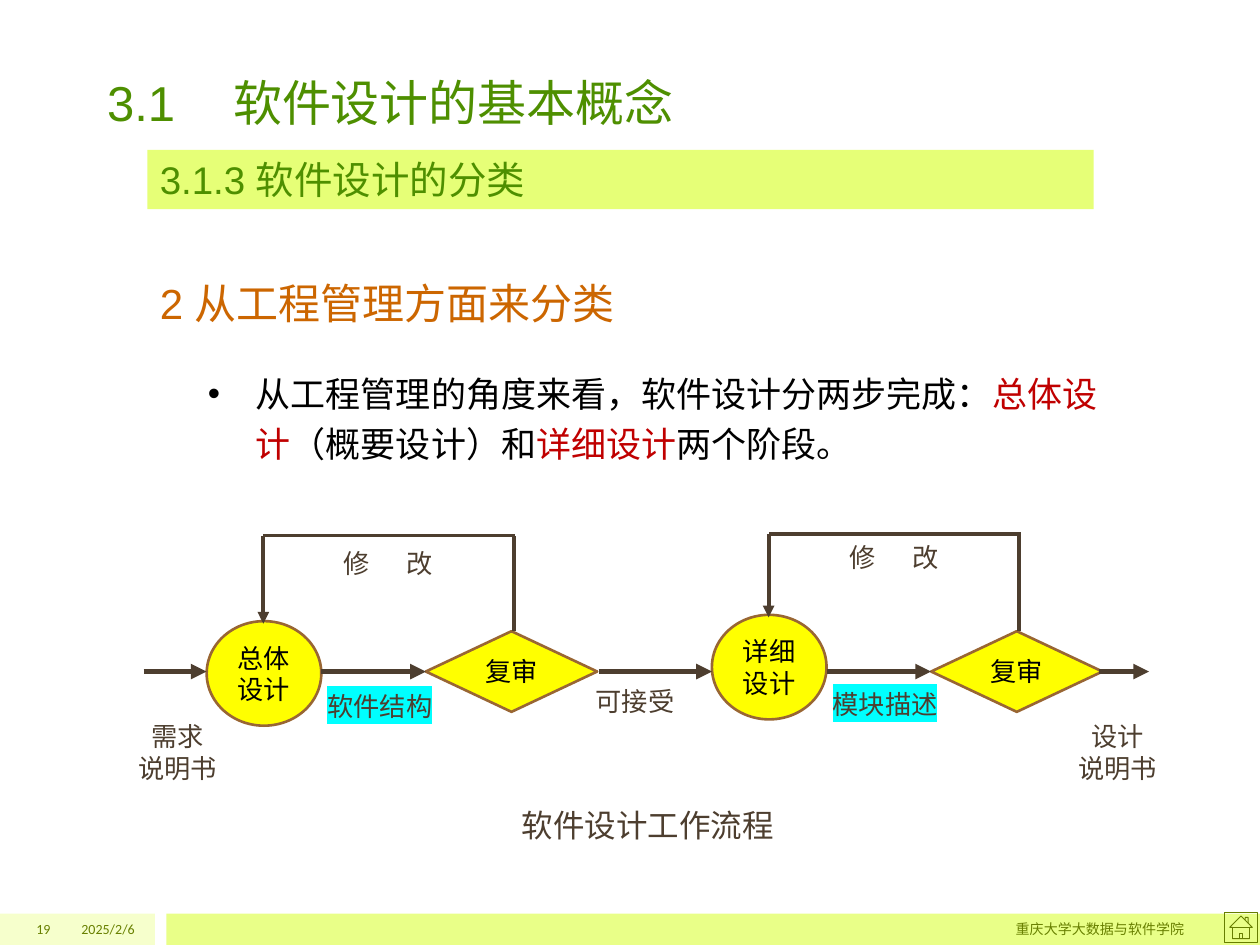
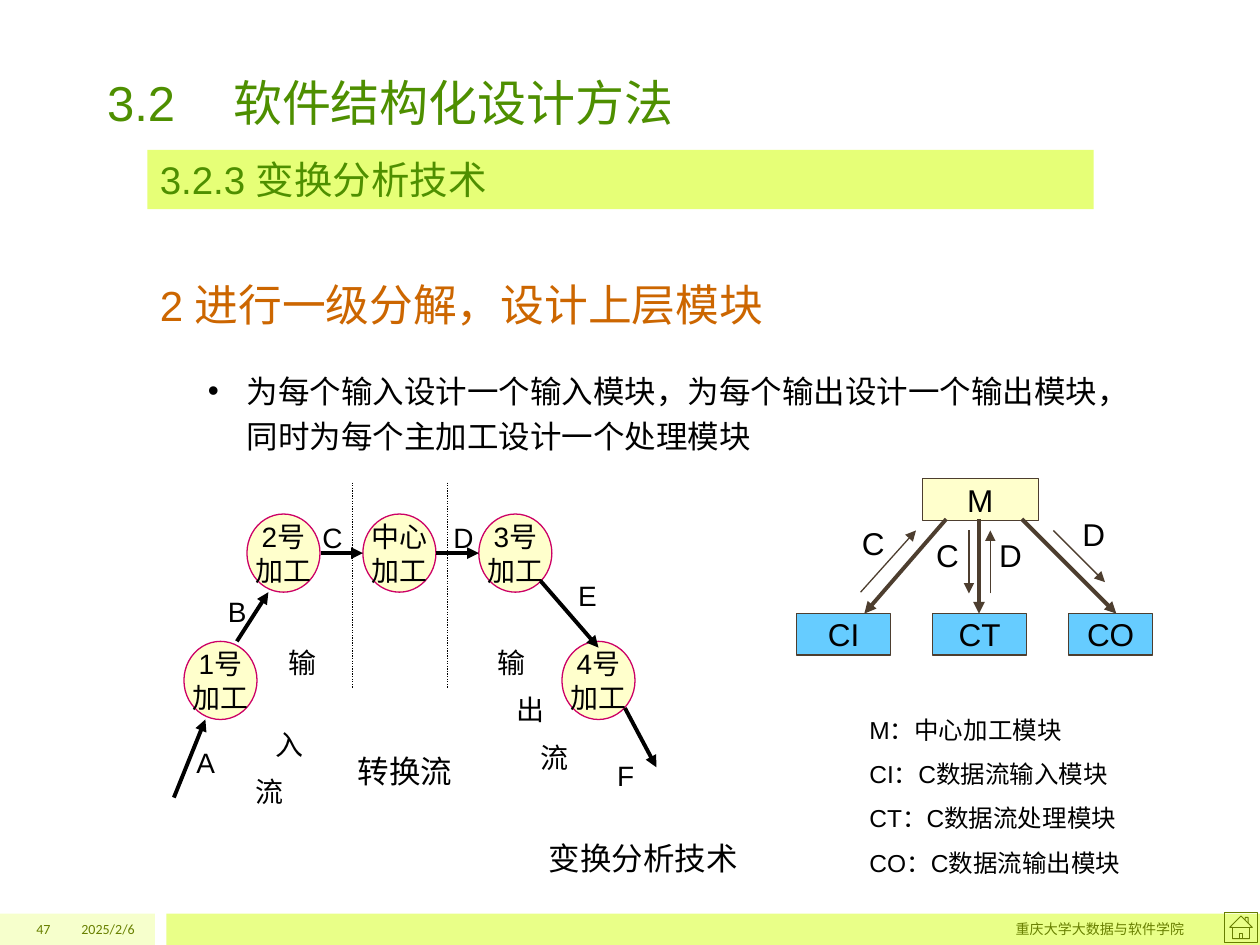
from dataclasses import dataclass, field, replace
from typing import NamedTuple, Optional, Sequence, Union

from lxml import etree
from pptx import Presentation
from pptx.dml.color import RGBColor
from pptx.enum import dml, shapes, text
from pptx.oxml import ns
from pptx.util import Inches, Pt

MSO, LEFT = shapes.MSO_SHAPE, text.PP_ALIGN.LEFT
CENTER, RIGHT = text.PP_ALIGN.CENTER, text.PP_ALIGN.RIGHT
TOP, MIDDLE, BOTTOM = (text.MSO_ANCHOR.TOP, text.MSO_ANCHOR.MIDDLE,
                       text.MSO_ANCHOR.BOTTOM)
WIDE, TIGHT = (0.1, 0.05), (0.07, 0.04)


@dataclass(frozen=True)
class Theme:
    black: str = "000000"
    green: str = "4E8F00"
    orange: str = "CC6600"
    red: str = "C00000"
    brown: str = "4D3E2F"
    band: str = "E6FF77"
    foot_pale: str = "F6FFCC"
    foot_band: str = "E9FF88"
    foot_text: str = "688000"
    home: str = "677E00"
    yellow: str = "FFFF00"
    ochre: str = "996633"
    cream: str = "FFFFCC"
    magenta: str = "CC0066"
    sky: str = "66CCFF"
    cyan: str = "00FFFF"
    latin: str = "Arial"
    cjk: str = "Noto Sans CJK SC"
    footer: str = "Calibri"
    title_pt: int = 28
    topic_pt: int = 24
    section_pt: int = 22
    caption_pt: int = 18
    node_pt: int = 16
    flow_pt: int = 15
    legend_pt: int = 14
    footer_pt: int = 8


T = Theme()


class Box(NamedTuple):
    x: float
    y: float
    w: float
    h: float


class Run(NamedTuple):
    text: str
    format: dict = {}


@dataclass(frozen=True)
class Style:
    size: float
    font: str = T.latin
    color: str = T.black
    align: text.PP_ALIGN = LEFT
    anchor: text.MSO_ANCHOR = TOP
    inset: tuple = WIDE
    wrap: bool = True
    spacing: float = 1.0
    before: float = 0
    hang: float = 0
    tab: float = 0
    bullet: str = ""
    highlight: str = ""


class Look(NamedTuple):
    preset: shapes.MSO_SHAPE
    fill: Optional[str] = None
    line: Optional[str] = None
    width: float = 0.75


class Pen(NamedTuple):
    color: str
    width: float
    arrow: bool = True
    dotted: bool = False


@dataclass(frozen=True)
class Page:
    number: str
    title: str
    section: str
    topic: Sequence[Run]
    bullet: Sequence[Run]
    body: Box
    body_style: Style = field(default_factory=lambda: Style(T.caption_pt))


Paragraph = Union[str, Sequence[Run]]

TITLE = Style(T.title_pt, color=T.green, anchor=BOTTOM, tab=0.85)
SECTION = Style(T.section_pt, color=T.green, hang=0.93)
TOPIC = Style(T.topic_pt, color=T.orange, spacing=1.5, hang=0.93)
BODY = Style(20, T.cjk, spacing=1.2, hang=0.38, bullet="•")
FOOTER = Style(T.footer_pt, T.footer, T.foot_text, RIGHT, MIDDLE)
FLOW = Style(T.flow_pt, T.cjk, T.brown)
FLOW_MID = replace(FLOW, align=CENTER)
FLOW_NODE = Style(T.flow_pt, T.cjk, T.black, CENTER, MIDDLE, TIGHT, False)
NODE = Style(T.node_pt, align=CENTER, anchor=MIDDLE, wrap=False)
LETTER = Style(T.node_pt)
MODULE = replace(NODE, size=T.caption_pt, inset=TIGHT)
MODULE_LETTER = Style(T.caption_pt, inset=TIGHT)
CAPTION = Style(T.caption_pt, T.cjk, align=CENTER, inset=TIGHT)


def add_tag(parent, tag: str, **attrs: str):
    return etree.SubElement(parent, ns.qn(tag), attrs)


def rgb(value: str) -> RGBColor:
    return RGBColor.from_string(value)


def write(tf, paragraphs: Sequence[Paragraph], style: Style) -> None:
    across, down = map(Inches, style.inset)
    frame = dict(word_wrap=style.wrap, vertical_anchor=style.anchor,
                 auto_size=text.MSO_AUTO_SIZE.NONE, margin_left=across,
                 margin_right=across, margin_top=down, margin_bottom=down)
    for name, value in frame.items():
        setattr(tf, name, value)
    for i, content in enumerate(paragraphs):
        p = tf.add_paragraph() if i else tf.paragraphs[0]
        p_pr = p._p.get_or_add_pPr()
        p_pr.set("marL", str(Inches(style.hang)))
        p_pr.set("indent", str(-Inches(style.hang)))
        if style.bullet:
            p.level = 1
            add_tag(p_pr, "a:buFont", typeface=T.latin)
            add_tag(p_pr, "a:buChar", char=style.bullet)
        if style.tab:
            tabs = add_tag(p_pr, "a:tabLst")
            add_tag(tabs, "a:tab", pos=str(Inches(style.tab)), algn="l")
        layout = dict(alignment=style.align, line_spacing=style.spacing,
                      space_before=Pt(style.before if i else 0))
        for name, value in layout.items():
            setattr(p, name, value)
        for run in [Run(content)] if isinstance(content, str) else content:
            look = replace(style, **run.format)
            r = p.add_run()
            r.text = run.text
            for name, value in dict(size=Pt(look.size), name=look.font).items():
                setattr(r.font, name, value)
            r.font.color.rgb = rgb(look.color)
            if look.highlight:
                mark = etree.Element(ns.qn("a:highlight"))
                add_tag(mark, "a:srgbClr", val=look.highlight)
                r._r.rPr.find(ns.qn("a:solidFill")).addnext(mark)


def add_text(s, box: Box, style: Style, *paragraphs: Paragraph) -> None:
    write(s.shapes.add_textbox(*map(Inches, box)).text_frame, paragraphs, style)


def add_shape(s, box: Box, look: Look, style: Style = NODE,
              *paragraphs: Paragraph) -> None:
    sp = s.shapes.add_shape(look.preset, *map(Inches, box))
    sp.shadow.inherit = False
    if look.fill:
        sp.fill.solid()
        sp.fill.fore_color.rgb = rgb(look.fill)
    else:
        sp.fill.background()
    if look.line:
        sp.line.color.rgb = rgb(look.line)
        sp.line.width = Pt(look.width)
    else:
        sp.line.fill.background()
    write(sp.text_frame, paragraphs, style)


def add_line(s, pen: Pen, *ends: float) -> None:
    """Draw a straight line through x1, y1, x2, y2, in inches."""
    c = s.shapes.add_connector(shapes.MSO_CONNECTOR.STRAIGHT, *map(Inches, ends))
    c.line.color.rgb = rgb(pen.color)
    c.line.width = Pt(pen.width)
    if pen.dotted:
        c.line.dash_style = dml.MSO_LINE.ROUND_DOT
    if pen.arrow:
        add_tag(c.line._get_or_add_ln(), "a:tailEnd", type="triangle")
    add_tag(c._element.spPr, "a:effectLst")


def fill_placeholder(sp, box: Box, style: Style, paragraph: Paragraph) -> None:
    for name, value in zip(("left", "top", "width", "height"), box):
        setattr(sp, name, Inches(value))
    write(sp.text_frame, [paragraph], style)


def add_page(prs, page: Page):
    """Add a slide with its footer, headings and bullet."""
    s = prs.slides.add_slide(prs.slide_layouts[1])
    add_shape(s, Box(0, 7.25, 1.23, 0.25), Look(MSO.RECTANGLE, T.foot_pale))
    add_shape(s, Box(1.32, 7.25, 8.68, 0.25), Look(MSO.RECTANGLE, T.foot_band))
    add_shape(s, Box(9.72, 7.24, 0.26, 0.24),
              Look(MSO.ACTION_BUTTON_HOME, None, T.home, 0.5))
    for x, w, words in ((0, 0.5, page.number), (0.5, 0.67, "2025/2/6"),
                        (2, 7.5, "重庆大学大数据与软件学院")):
        add_text(s, Box(x, 7.25, w, 0.25), FOOTER, words)
    fill_placeholder(s.shapes.title, Box(0.75, 0.38, 8.51, 0.71), TITLE, page.title)
    add_shape(s, Box(1.17, 1.19, 7.51, 0.47), Look(MSO.RECTANGLE, T.band),
              SECTION, page.section)
    add_text(s, Box(1.17, 1.95, 7.31, 0.71), TOPIC, page.topic)
    fill_placeholder(s.placeholders[1], page.body, page.body_style, page.bullet)
    return s


class Stage(NamedTuple):
    dx: float
    name: tuple
    circle_y: float
    loop_y: float
    note_y: float
    output: str
    output_y: float


def draw_workflow(s) -> None:
    flow, loop = Pen(T.brown, 3), Pen(T.brown, 2.25)
    side = loop._replace(arrow=False)
    circle = Look(MSO.OVAL, T.yellow, T.ochre, 1.5)
    review = circle._replace(preset=MSO.DIAMOND)
    axis = 5.33
    stages = (Stage(0, ("总体", "设计"), 4.93, 4.25, 4.3, "软件结构", 5.43),
              Stage(4.01, ("详细", "设计"), 4.88, 4.24, 4.26, "模块描述", 5.41))
    for st in stages:
        dx = st.dx
        add_shape(s, Box(1.64 + dx, st.circle_y, 0.91, 0.83), circle,
                  FLOW_NODE, *st.name)
        add_shape(s, Box(3.38 + dx, 5.01, 1.36, 0.64), review, FLOW_NODE, "复审")
        add_line(s, flow, 2.55 + dx, axis, 3.38 + dx, axis)
        add_line(s, side, 4.08 + dx, 5.01, 4.08 + dx, st.loop_y)
        add_line(s, side, 4.09 + dx, st.loop_y, 2.09 + dx, st.loop_y)
        add_line(s, loop, 2.09 + dx, st.loop_y, 2.09 + dx, st.circle_y + 0.02)
        add_text(s, Box(2.66 + dx, st.note_y, 1.29, 0.33),
                 replace(FLOW, inset=TIGHT, tab=0.31), "修\t改")
        add_text(s, Box(2.5 + dx, st.output_y, 1.24, 0.35),
                 replace(FLOW, highlight=T.cyan), st.output)
    for x1, x2 in ((1.14, 1.64), (4.75, 5.65), (8.72, 9.12)):
        add_line(s, flow, x1, axis, x2, axis)
    for x, words in ((0.88, "需求"), (8.34, "设计")):
        add_text(s, Box(x, 5.67, 1.06, 0.6), FLOW_MID, words, "说明书")
    add_text(s, Box(4.63, 5.39, 1.13, 0.35), FLOW, "可接受")
    add_text(s, Box(3.6, 6.36, 3.08, 0.38), replace(CAPTION, color=T.brown),
             "软件设计工作流程")


def draw_data_flow(s) -> None:
    arrow = Pen(T.black, 2.25)
    for x, y, name in ((1.46, 5.09, "1号"), (1.96, 4.08, "2号"), (2.88, 4.08, "中心"),
                       (3.8, 4.08, "3号"), (4.46, 5.09, "4号")):
        add_shape(s, Box(x, y, 0.58, 0.62), Look(MSO.OVAL, T.cream, T.magenta),
                  NODE, name, "加工")
    for ends in ((1.38, 6.33, 1.63, 5.71), (1.88, 5.09, 2.13, 4.7),
                 (2.55, 4.39, 2.88, 4.39), (3.46, 4.39, 3.8, 4.39),
                 (4.29, 4.61, 4.75, 5.14), (4.96, 5.62, 5.21, 6.09)):
        add_line(s, arrow, *ends)
    for x, y, name in ((1.46, 5.87, "A"), (1.71, 4.67, "B"), (2.46, 4.08, "C"),
                       (3.5, 4.08, "D"), (4.49, 4.54, "E"), (4.8, 5.97, "F")):
        add_text(s, Box(x, y, 0.6, 0.37), LETTER, name)
    for x in (2.8, 3.55):
        add_line(s, Pen(T.black, 0.75, False, True), x, 3.83, x, 5.46)
    for x, y, word in ((2.22, 5.08, "输"), (2.12, 5.73, "入"), (1.96, 6.11, "流"),
                       (3.88, 5.08, "输"), (4.03, 5.46, "出"), (4.22, 5.84, "流")):
        add_text(s, Box(x, y, 0.4, 0.35), replace(LETTER, inset=TIGHT), word)
    add_text(s, Box(2.77, 5.93, 1.08, 0.38), MODULE_LETTER, "转换流")
    add_text(s, Box(3.69, 6.62, 2.83, 0.38), CAPTION, "变换分析技术")


def draw_module_tree(s) -> None:
    call, data = Pen(T.brown, 2.25), Pen(T.brown, 0.75)
    for x, y, w, fill, name in (
            (7.32, 3.8, 0.92, T.cream, "M"), (6.32, 4.87, 0.75, T.sky, "CI"),
            (7.4, 4.87, 0.75, T.sky, "CT"), (8.48, 4.87, 0.67, T.sky, "CO")):
        add_shape(s, Box(x, y, w, 0.33), Look(MSO.RECTANGLE, fill, T.brown),
                  MODULE, name)
    for x1, x2 in ((7.51, 6.86), (7.77, 7.77), (8.11, 8.86)):
        add_line(s, call, x1, 4.12, x2, 4.87)
    for ends in ((6.83, 4.7, 7.27, 4.21), (7.69, 4.21, 7.69, 4.71),
                 (7.86, 4.71, 7.86, 4.21), (8.36, 4.21, 8.77, 4.62)):
        add_line(s, data, *ends)
    for x, y, name in ((6.77, 4.12, "C"), (7.36, 4.21, "C"),
                       (7.86, 4.21, "D"), (8.52, 4.05, "D")):
        add_text(s, Box(x, y, 0.5, 0.38), MODULE_LETTER, name)
    add_text(s, Box(6.83, 5.52, 2.3, 1.44),
             Style(T.legend_pt, inset=TIGHT, spacing=1.5), "M：中心加工模块",
             "CI：C数据流输入模块", "CT：C数据流处理模块", "CO：C数据流输出模块")


def main() -> None:
    prs = Presentation()
    prs.slide_width, prs.slide_height = Inches(10), Inches(7.5)
    red = dict(color=T.red)
    draw_workflow(add_page(prs, Page(
        "19", "3.1\t软件设计的基本概念", "3.1.3 软件设计的分类",
        [Run("2 从工程管理方面来分类")],
        [Run("从工程管理的角度来看，软件设计分两步完成："), Run("总体设计", red),
         Run("（概要设计）和"), Run("详细设计", red), Run("两个阶段。")],
        Box(1.55, 2.84, 7.31, 0.91), BODY)))
    s = add_page(prs, Page(
        "47", "3.2\t软件结构化设计方法", "3.2.3 变换分析技术",
        [Run("2 "), Run("进行一级分解，设计上层模块", dict(size=25))],
        [Run("为每个输入设计一个输入模块，为每个输出设计一个输出模块，"
             "同时为每个主加工设计一个处理模块")],
        Box(1.55, 2.84, 7.31, 4.07), replace(BODY, size=T.caption_pt, hang=0.31)))
    draw_data_flow(s)
    draw_module_tree(s)
    prs.save("out.pptx")


if __name__ == "__main__":
    main()
